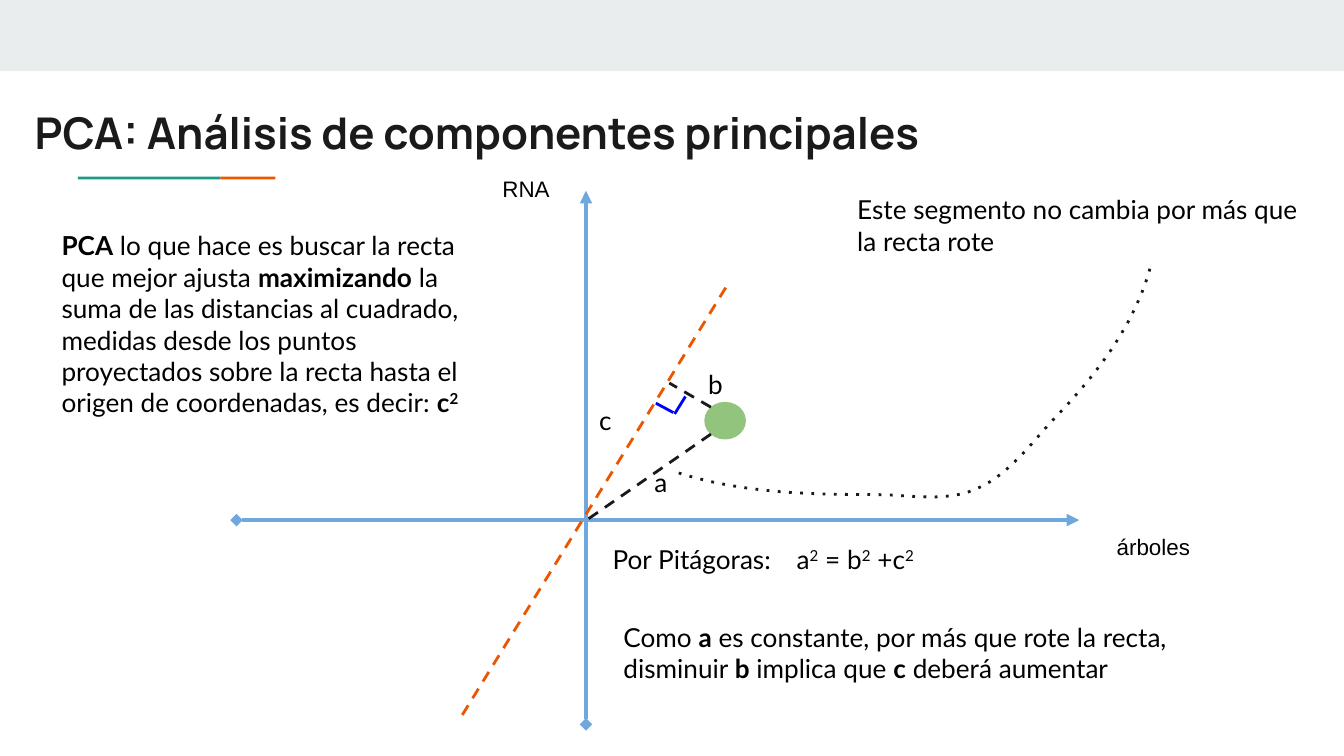
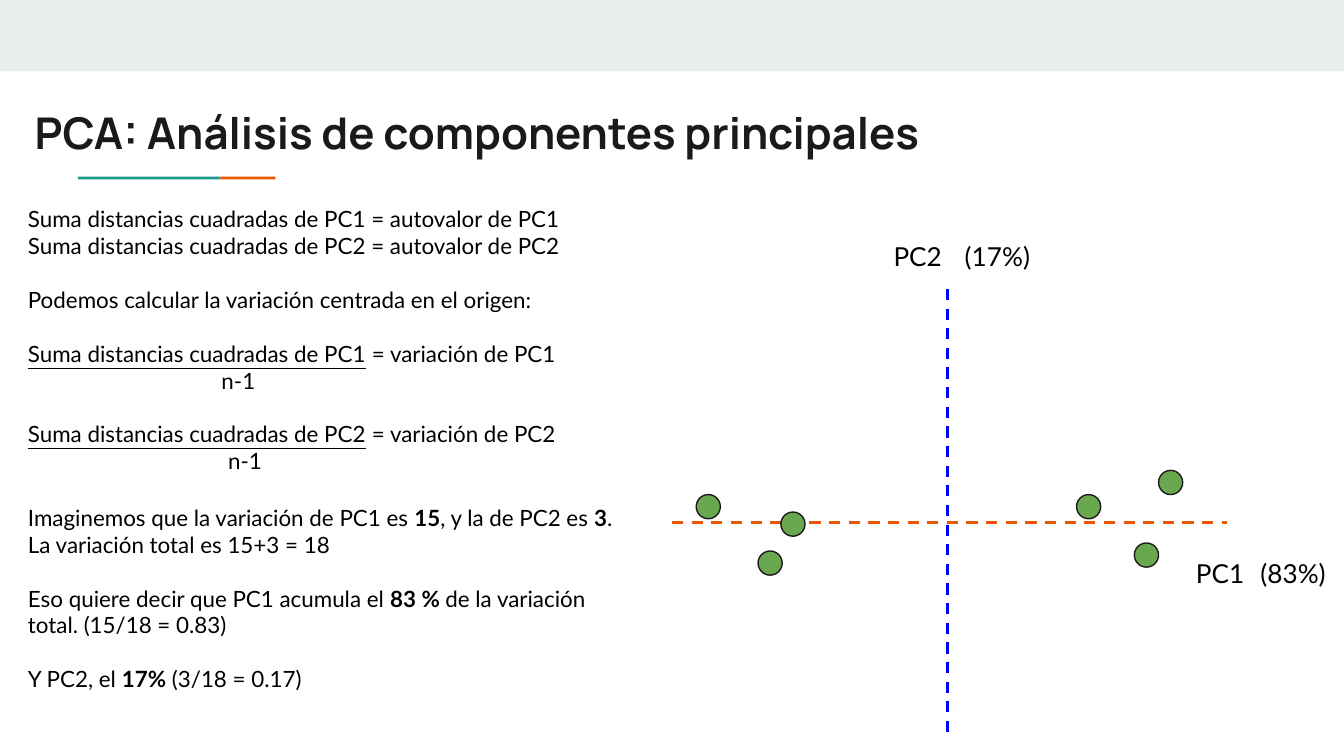
from dataclasses import dataclass
from typing import Any

from lxml.etree import SubElement
from pptx import Presentation
from pptx.dml.color import RGBColor
from pptx.enum.shapes import MSO_CONNECTOR, MSO_SHAPE
from pptx.enum.text import MSO_ANCHOR
from pptx.oxml.ns import qn
from pptx.util import Inches, Pt

WIDTH = Inches(10)
HEIGHT = WIDTH * 9 // 16
COLS = 100
CELL = WIDTH // COLS
INK, BLACK, BLUE = "1A1A1A", "000000", "0000FF"
ORANGE, TEAL, BAND, SKY = "EB5600", "1A9988", "E9EDEE", "6FA8DC"
LEAF, GREEN = "93C47D", "6AA84F"
TITLE = "PCA: Análisis de componentes principales"
BOLD, UNDER, POWER = "b", "u", "^"


def cells(*counts):
    return [round(count * CELL) for count in counts]


def color(code):
    return RGBColor.from_string(code)


@dataclass
class Box:
    shapes: Any
    x: float
    y: float
    w: float
    h: float

    def at(self, x, y):
        return cells(self.x + x, self.y + y)

    def rect(self, x, y, w, h):
        return self.at(x, y) + cells(w, h)


@dataclass
class Para:
    runs: list
    gap: float = 0
    indent: float = 0
    tab: float = 0


def say(box, area, *paras, size=14, face="Lato", ink=BLACK, bold=None):
    frame = box.shapes.add_textbox(*box.rect(*area)).text_frame
    frame.word_wrap = True
    frame.margin_left = frame.margin_right = Inches(0.1)
    frame.margin_top = frame.margin_bottom = Inches(0.1)
    for rank, para in enumerate(paras):
        if isinstance(para, str):
            para = Para([para])
        line = frame.add_paragraph() if rank else frame.paragraphs[0]
        props = line._p.get_or_add_pPr()
        if para.indent:
            props.set("marL", str(cells(para.indent)[0]))
        if para.tab:
            stops = SubElement(props, qn("a:tabLst"))
            SubElement(stops, qn("a:tab"), pos=str(cells(para.tab)[0]), algn="l")
        line.space_before = Pt(para.gap)
        line.font.name, line.font.size = face, Pt(size)
        line.font.color.rgb = color(ink)
        line.font.bold = bold
        for part in para.runs:
            text, marks = (part, "") if isinstance(part, str) else part
            run = line.add_run()
            run.text = text
            if BOLD in marks:
                run.font.bold = True
            if UNDER in marks:
                run.font.underline = True
            if POWER in marks:
                run._r.get_or_add_rPr().set("baseline", "30000")
    return frame


def stroke(shape, ink, width, dash=None, head=None, tail=None):
    shape.line.color.rgb = color(ink)
    shape.line.width = Pt(width)
    edge = shape.element.spPr.find(qn("a:ln"))
    if dash:
        SubElement(edge, qn("a:prstDash"), val=dash)
    for tag, kind in (("a:headEnd", head), ("a:tailEnd", tail)):
        if kind:
            SubElement(edge, qn(tag), type=kind)


def join(box, start, end, ink, width=1.5, **style):
    line = box.shapes.add_connector(
        MSO_CONNECTOR.STRAIGHT, *box.at(*start), *box.at(*end))
    stroke(line, ink, width, **style)
    SubElement(line.element.spPr, qn("a:effectLst"))


def form(box, kind, area, fill, ink=None):
    shape = box.shapes.add_shape(kind, *box.rect(*area))
    shape.shadow.inherit = False
    shape.fill.solid()
    shape.fill.fore_color.rgb = color(fill)
    if ink:
        stroke(shape, ink, 0.75)
    else:
        shape.line.fill.background()


def bend(start, curves, steps=12):
    points = [start]
    for one, two, end in curves:
        knots = (points[-1], one, two, end)
        for step in range(1, steps + 1):
            t = step / steps
            parts = ((1 - t) ** 3, 3 * t * (1 - t) ** 2, 3 * t * t * (1 - t), t ** 3)
            points.append(tuple(
                sum(p * knot[axis] for p, knot in zip(parts, knots))
                for axis in (0, 1)))
    return points


def header(box):
    form(box, MSO_SHAPE.RECTANGLE, (0, 0, box.w, 5.3), BAND)
    for x, w, fill in ((5.8, 10.6, TEAL), (16.4, 4.1, ORANGE)):
        form(box, MSO_SHAPE.RECTANGLE, (x, 13.15, w, 0.2), fill)
    frame = say(box, (1.6, 6.9, 84.1, 5.9), TITLE,
                size=23.4, face="Manrope", ink=INK, bold=True)
    frame.vertical_anchor = MSO_ANCHOR.MIDDLE


def intro(box):
    say(box, (0, 0, box.w, box.h), Para([
        ("PCA", BOLD), " lo que hace es buscar la recta que mejor ajusta ",
        ("maximizando", BOLD),
        " la suma de las distancias al cuadrado, medidas desde los puntos "
        "proyectados sobre la recta hasta el origen de coordenadas, es decir: ",
        ("c", BOLD), ("2", BOLD + POWER)]))


def plane(box):
    for start, end in (((0.6, 26.7), (63.3, 26.7)), ((26.6, 41.9), (26.6, 2.2))):
        join(box, start, end, SKY, 2.25, head="diamond", tail="triangle")
    say(box, (65.1, 26.7, 9.1, 4), "árboles", size=12, face="Arial")
    say(box, (19.4, 0, 6.1, 4), "RNA", size=12, face="Arial")
    form(box, MSO_SHAPE.OVAL, (35.4, 17.9, 3.1, 2.8), LEAF)
    for start, end, ink in (((17.4, 41.2), (37, 9.4), ORANGE),
                            ((35.9, 20.3), (26.5, 26.8), INK),
                            ((35.9, 18.3), (32.8, 16.5), INK)):
        join(box, start, end, ink, dash="dash")
    join(box, (31.8, 18), (33.1, 18.7), BLUE)
    join(box, (33.2, 18.8), (34, 17.5), BLUE)
    for name, x, y in (("c", 26.6, 17.1), ("b", 34.7, 14.4), ("a", 30.7, 21.7)):
        say(box, (x, y, 3.6, 4.4), name)


def callout(box):
    say(box, (12.8, 0.4, 36.1, 6.7),
        "Este segmento no cambia por más que la recta rote")
    points = bend((0.5, 22.2), (
        ((5.3, 23.7), (10.2, 23.8), (15.1, 23.8)),
        ((17.6, 23.8), (20.3, 24.4), (22.6, 23.4)),
        ((24.8, 22.5), (26.5, 20.3), (28.2, 18.4)),
        ((31.3, 15.2), (34.5, 11.3), (35.7, 6.5))))
    spots = [box.at(*point) for point in points]
    build = box.shapes.build_freeform(*spots[0])
    build.add_line_segments(spots[1:], close=False)
    curve = build.convert_to_shape()
    curve.shadow.inherit = False
    curve.fill.background()
    stroke(curve, INK, 1.5, dash="dot")


def proof(box):
    two = ("2", POWER)
    say(box, (0, 0, 44.4, 4.4), Para(
        ["Por Pitágoras:\ta", two, " = b", two, " +c", two], tab=13.7))
    say(box, (0.8, 5.8, 44.4, 6.7), Para([
        "Como ", ("a", BOLD), " es constante, por más que rote la recta, disminuir ",
        ("b", BOLD), " implica que ", ("c", BOLD), " deberá aumentar"]))


def scatter(box):
    join(box, (0, 22.9), (41.3, 22.9), ORANGE, dash="dash")
    join(box, (20.5, 5.5), (20.5, 38.7), BLUE, dash="dash")
    for text, x, y, w in (("PC1", 38, 24.5, 6.1), ("PC2", 15.5, 0.9, 6.1),
                          ("(17%)", 20.8, 0.9, 9.7), ("(83%)", 42.8, 24.5, 7.2)):
        say(box, (x, y, w, 4.4), text)
    for x, y in ((6.4, 25), (34.4, 24.4), (8.1, 22.1),
                 (1.8, 20.8), (30.1, 20.8), (36.2, 19)):
        form(box, MSO_SHAPE.OVAL, (x, y, 1.8, 1.8), GREEN, INK)


def sums(box):
    gap = 14.4
    paras = [f"Suma distancias cuadradas de {pc} = autovalor de {pc}"
             for pc in ("PC1", "PC2")]
    paras.append(Para(["Podemos calcular la variación centrada en el origen:"], gap))
    for pc, indent in (("PC1", 14.4), ("PC2", 14.9)):
        paras.append(Para([(f"Suma distancias cuadradas de {pc}", UNDER),
                           f" = variación de {pc}"], gap))
        paras.append(Para(["n-1"], indent=indent))
    say(box, (0, 0, 60, 26.3), *paras, size=12)
    say(box, (0, 22.2, box.w, 16.2),
        Para(["Imaginemos que la variación de PC1 es ", ("15", BOLD),
              ", y la de PC2 es ", ("3", BOLD), "."]),
        "La variación total es 15+3 = 18",
        Para(["Eso quiere decir que PC1 acumula el ", ("83 % ", BOLD),
              "de la variación total. (15/18 = 0.83)"], gap),
        Para(["Y PC2, el ", ("17%", BOLD), " (3/18 = 0.17)"], gap),
        size=12)


def main():
    deck = Presentation()
    deck.slide_width, deck.slide_height = WIDTH, HEIGHT
    pages = (
        ((plane, (17, 12, 75, 42)), (intro, (3.6, 16.1, 32.4, 16.2)),
         (callout, (50, 13, 49, 25)), (proof, (44.6, 39.4, 45.2, 12.5))),
        ((scatter, (50, 16, 50, 39)), (sums, (1.1, 14.3, 46.8, 38.4))))
    for page in pages:
        shapes = deck.slides.add_slide(deck.slide_layouts[6]).shapes
        header(Box(shapes, 0, 0, COLS, HEIGHT / CELL))
        for draw, area in page:
            draw(Box(shapes, *area))
    deck.save("out.pptx")


if __name__ == "__main__":
    main()
